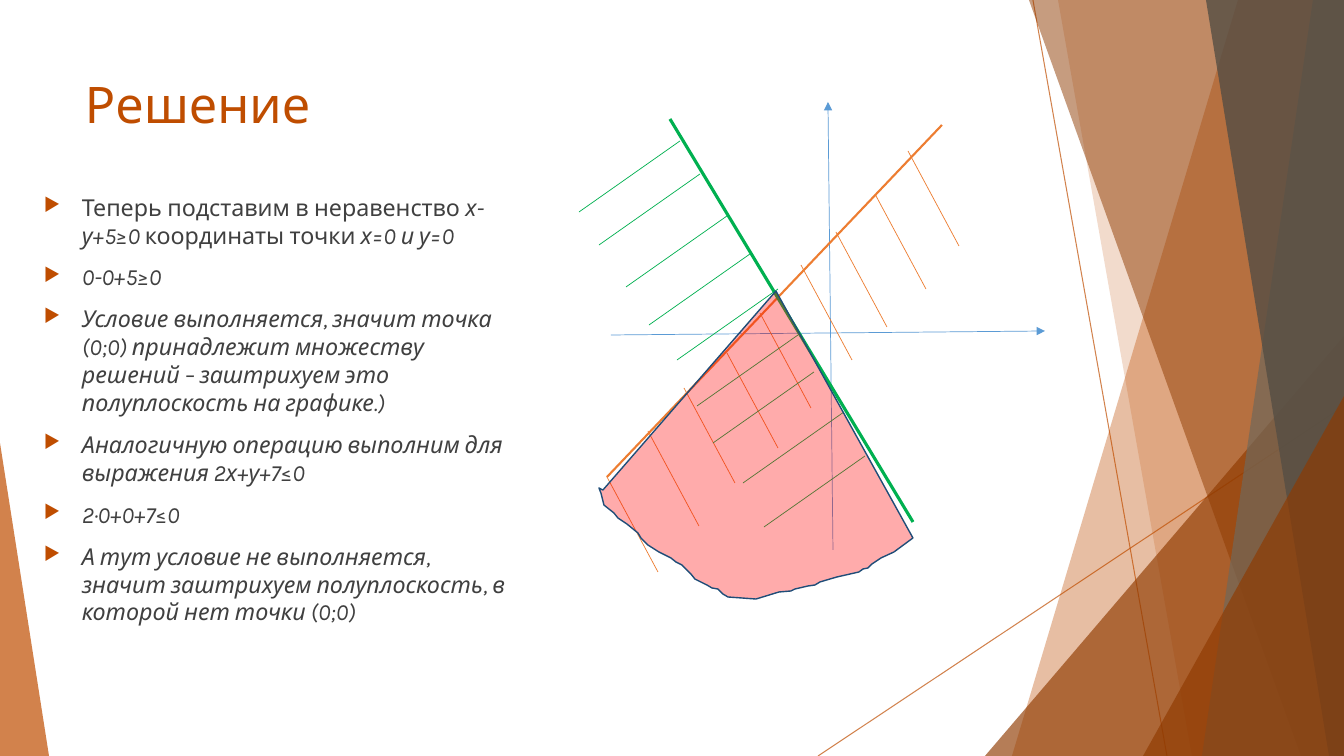
"""Build a slide that solves a system of two linear inequalities on a graph."""
from lxml import etree
from pptx import Presentation
from pptx.dml.color import RGBColor
from pptx.enum.shapes import MSO_CONNECTOR, MSO_SHAPE
from pptx.oxml.ns import qn
from pptx.util import Emu, Pt

STRAIGHT = MSO_CONNECTOR.STRAIGHT
TRIANGLE = MSO_SHAPE.ISOSCELES_TRIANGLE
PX = 914400 / 100.8
SLIDE_SIZE = (1344, 756)

THEME = {
    "font": "Karla", "title_size": 36, "body_size": 16.6, "space_before": 10,
    "accent": "BF4D00", "dark": "8F3A00", "stone": "71685A", "slate": "554E44",
    "text": "404040", "axis": "5B9BD5", "orange": "ED7D31", "green": "00B050",
    "region": "FF0000", "outline": "1F4D78",
}

TITLE = "Решение"
TITLE_BOX = (75, 68, 948, 145)
BODY_BOX = (34, 188, 492, 427)
BULLET_INDENT = 38
BODY = [
    [("Теперь подставим в неравенство ", False), ("х-у+5≥0 ", True),
     ("координаты точки", False), (" х=0 и у=0", True)],
    [("0-0+5≥0", True)],
    [("Условие выполняется, значит точка (0;0) принадлежит множеству решений – "
      "заштрихуем это полуплоскость на графике.)", True)],
    [("Аналогичную операцию выполним для выражения 2х+у+7≤0", True)],
    [("2·0+0+7≤0", True)],
    [("А тут условие не выполняется, значит заштрихуем полуплоскость, "
      "в которой нет точки (0;0)", True)],
]

DECOR_LINES = [((1033, 0), (1167, 756)), ((1344, 406), (818, 756))]
FACETS = [
    ("polygon", [(1238, 0), (1344, 0), (1344, 756), (1012, 756)], "accent", 36),
    ("polygon", [(1058, 0), (1344, 0), (1344, 756), (1192, 756)], "accent", 20),
    ("right", (985, 336, 359, 420), "dark", 66),
    ("polygon", [(1029, 0), (1344, 0), (1344, 756), (1301, 756)], "dark", 50),
    ("polygon", [(1313, 0), (1344, 0), (1344, 756), (1202, 756)], "stone", 70),
    ("polygon", [(1206, 0), (1344, 0), (1344, 756), (1329, 756)], "slate", 80),
    ("right", (1143, 396, 201, 360), "dark", 66),
    ("left", (0, 443, 49, 313), "accent", 70),
]
APEX = {"left": 0, "right": 1}

AXES = [((833, 550), (828, 102)), ((611, 335), (1045, 331))]
BOUNDARIES = [
    ((607, 477), (942, 125), "orange", 1.5),
    ((913, 522), (670, 119), "green", 2.25),
]
HATCHES = [
    ("orange", (51, 95), [(607, 477), (648, 431), (684, 388), (727, 353), (760, 313),
                          (801, 265), (836, 232), (875, 194), (908, 151)]),
    ("green", (-101, 71), [(680, 141), (700, 174), (727, 216), (750, 254), (778, 289),
                           (798, 335), (814, 372), (844, 412), (865, 456)]),
]
REGION = [
    (603, 490), (776, 291), (913, 538), (894, 552), (881, 558), (872, 564), (868, 568),
    (863, 569), (859, 572), (837, 577), (830, 579), (820, 582), (815, 585), (808, 586),
    (795, 589), (791, 591), (779, 592), (766, 596), (756, 599), (728, 597), (723, 594),
    (718, 589), (712, 588), (707, 585), (695, 579), (691, 574), (682, 565), (676, 562),
    (671, 558), (659, 552), (648, 545), (641, 538), (638, 533), (627, 524), (618, 518),
    (614, 513), (604, 505), (601, 493), (599, 488),
]


def px(*values):
    return [Emu(round(value * PX)) for value in values]


def color(name):
    return RGBColor.from_string(THEME[name])


def add_child(parent, tag, **attributes):
    return etree.SubElement(parent, qn(tag), attributes)


def set_alpha(properties, percent):
    add_child(properties.find(".//" + qn("a:srgbClr")), "a:alpha", val=str(percent * 1000))


def style_shape(shape, fill, alpha, outline=None):
    shape.shadow.inherit = False
    shape.fill.solid()
    shape.fill.fore_color.rgb = color(fill)
    set_alpha(shape.fill._xPr.find(qn("a:solidFill")), alpha)
    if outline:
        shape.line.color.rgb = color(outline)
        shape.line.width = Pt(1)
    else:
        shape.line.fill.background()


def add_polygon(slide, points):
    builder = slide.shapes.build_freeform(*points[0], scale=PX)
    builder.add_line_segments(points[1:], close=True)
    return builder.convert_to_shape()


def add_line(slide, start, end, name, width, alpha=None, arrow=False):
    line = slide.shapes.add_connector(STRAIGHT, *px(*start, *end))
    line.line.color.rgb = color(name)
    line.line.width = Pt(width)
    outline = line.line._get_or_add_ln()
    if alpha:
        set_alpha(outline, alpha)
    if arrow:
        add_child(outline, "a:tailEnd", type="triangle")
    add_child(line._element.spPr, "a:effectLst")


def add_text_box(slide, box):
    frame = slide.shapes.add_textbox(*px(*box)).text_frame
    frame.word_wrap = True
    return frame


def add_run(paragraph, text, size, name, italic=False):
    run = paragraph.add_run()
    run.text = text
    run.font.color.rgb = color(name)
    formats = {"name": THEME["font"], "size": Pt(size), "italic": italic}
    for attribute, value in formats.items():
        setattr(run.font, attribute, value)


def add_bullet(paragraph):
    paragraph.space_before = Pt(THEME["space_before"])
    properties = paragraph._p.get_or_add_pPr()
    indent = px(BULLET_INDENT)[0]
    properties.set("marL", str(indent))
    properties.set("indent", str(-indent))
    add_child(add_child(properties, "a:buClr"), "a:srgbClr", val=THEME["accent"])
    add_child(properties, "a:buSzPct", val="80000")
    add_child(properties, "a:buChar", char="▶")


def add_decor(slide):
    for start, end in DECOR_LINES:
        add_line(slide, start, end, "accent", 0.75, alpha=70)
    for kind, geometry, fill, alpha in FACETS:
        if kind == "polygon":
            facet = add_polygon(slide, geometry)
        else:
            facet = slide.shapes.add_shape(TRIANGLE, *px(*geometry))
            facet.adjustments[0] = APEX[kind]
        style_shape(facet, fill, alpha)


def add_text(slide):
    title = add_text_box(slide, TITLE_BOX).paragraphs[0]
    add_run(title, TITLE, THEME["title_size"], "accent")
    frame = add_text_box(slide, BODY_BOX)
    for index, runs in enumerate(BODY):
        paragraph = frame.add_paragraph() if index else frame.paragraphs[0]
        add_bullet(paragraph)
        for text, italic in runs:
            add_run(paragraph, text, THEME["body_size"], "text", italic)


def add_graph(slide):
    for start, end in AXES:
        add_line(slide, start, end, "axis", 0.5, arrow=True)
    for start, end, name, width in BOUNDARIES:
        add_line(slide, start, end, name, width)
    for name, (dx, dy), starts in HATCHES:
        for x, y in starts:
            add_line(slide, (x, y), (x + dx, y + dy), name, 0.5)
    style_shape(add_polygon(slide, REGION), "region", 33, "outline")


def main():
    presentation = Presentation()
    presentation.slide_width, presentation.slide_height = px(*SLIDE_SIZE)
    slide = presentation.slides.add_slide(presentation.slide_layouts[6])
    add_decor(slide)
    add_text(slide)
    add_graph(slide)
    presentation.save("out.pptx")


if __name__ == "__main__":
    main()
